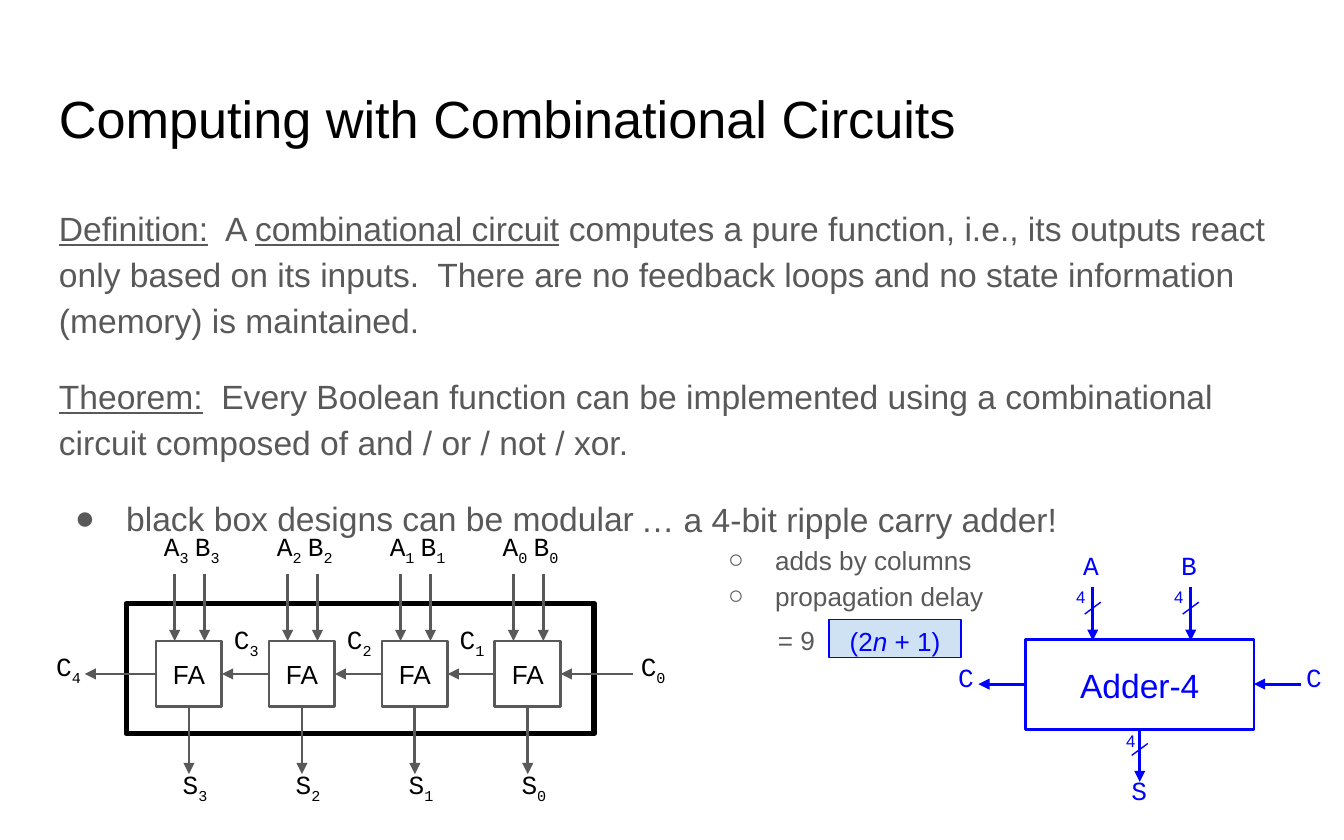
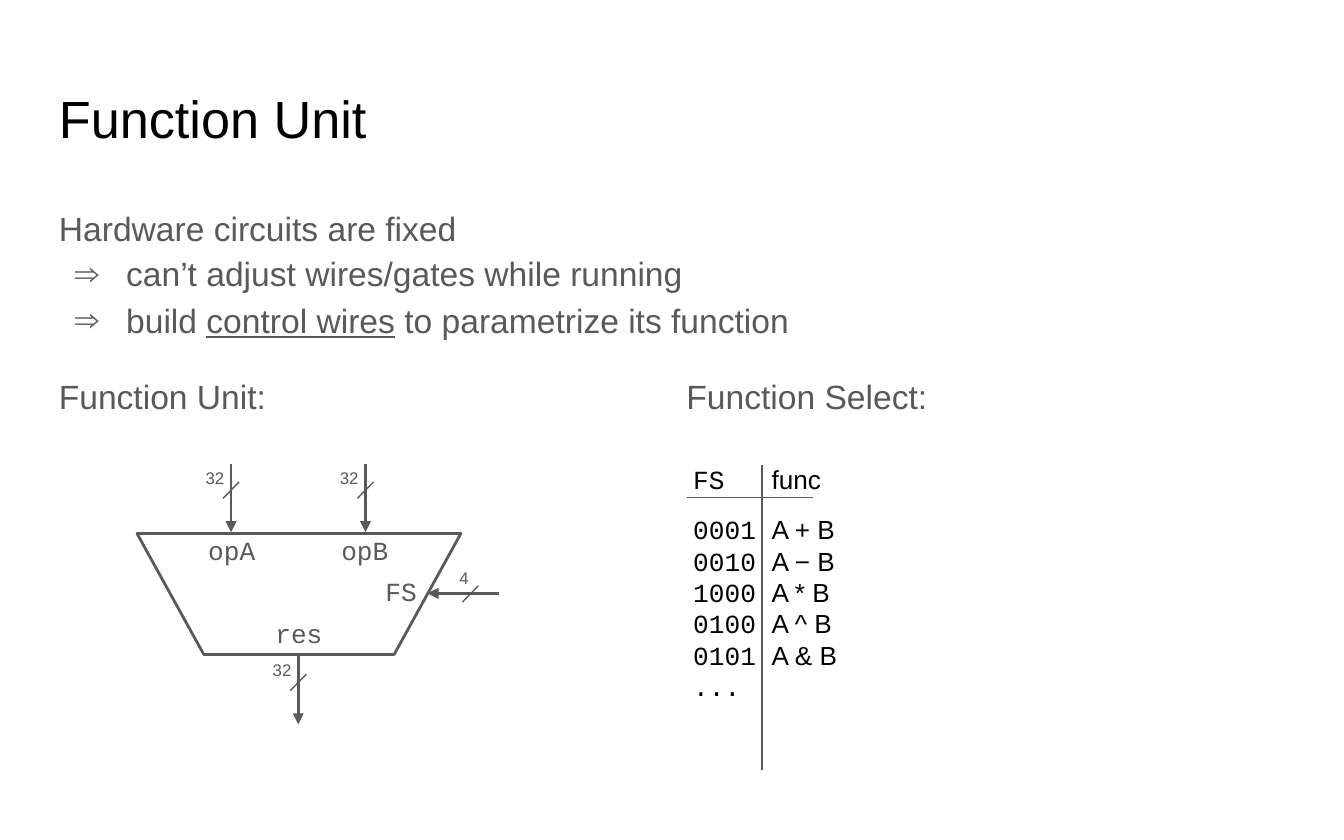
import dataclasses
import pptx
import pptx.util
import pptx.dml.color
import pptx.enum.shapes
import pptx.enum.text
import lxml.etree
import pptx.oxml.ns

Pt = pptx.util.Pt
Shape = pptx.enum.shapes.MSO_SHAPE
Anchor = pptx.enum.text.MSO_ANCHOR
Align = pptx.enum.text.PP_ALIGN


@dataclasses.dataclass(frozen=True)
class Theme:
    """Colours, fonts, type sizes and line widths of the deck."""
    ink: str = "000000"
    gray: str = "595959"
    blue: str = "0000FF"
    pale: str = "CFE2F3"
    sans: str = "Arial"
    mono: str = "Courier New"
    title: float = 28
    body: float = 18
    small: float = 14
    tiny: float = 9
    thin: float = 0.75
    line: float = 1.5
    thick: float = 3
    lead: float = 1.15
    after: float = 16


T = Theme()

# Content. A paragraph is a list of (text, marks) runs:
# u underline, i italic, s subscript, m monospace.
ADDER_TITLE = "Computing with Combinational Circuits"
DEFN = [
    ("Definition:", "u"), ("  A ", ""), ("combinational circuit", "u"),
    (" computes a pure function, i.e., its outputs react only based on its "
     "inputs.  There are no feedback loops and no state information "
     "(memory) is maintained.", "")]
THEOREM = [
    ("Theorem:", "u"),
    ("  Every Boolean function can be implemented using a combinational "
     "circuit composed of and / or / not / xor.", "")]
MODULAR = [("black box designs can be modular", "")]
RIPPLE = [("… a 4-bit ripple carry adder!", "")]
POINTS = ["adds by columns", "propagation delay"]
DELAY = [("= 9", "")]
FORMULA = [("(2", ""), ("n", "i"), (" + 1)", "")]
BITS = [3, 2, 1, 0]

UNIT_TITLE = "Function Unit"
FIXED = [("Hardware circuits are fixed", "")]
ARROWS = [
    [("can’t adjust wires/gates while running", "")],
    [("build ", ""), ("control wires", "u"),
     (" to parametrize its function", "")]]
HEADS = [("Function Unit:", 24.5), ("Function Select:", 360.7)]
PORTS = [("opA", 89.3, 278.6), ("opB", 160.6, 278.6),
         ("res", 125.3, 323.3), ("FS", 180, 301)]
FUNCS = [("0001", "A + B"), ("0010", "A − B"), ("1000", "A * B"),
         ("0100", "A ^ B"), ("0101", "A & B")]


def rgb(code):
    """Turn a hex code into a colour."""
    return pptx.dml.color.RGBColor.from_string(code)


def node(parent, tag, **attrs):
    """Append a drawing element to parent."""
    return lxml.etree.SubElement(parent, pptx.oxml.ns.qn(tag), **attrs)


def para(runs, **opts):
    """Pair runs with options: size, lead, after, dot, left, hang, tab."""
    return runs, opts


def dress(run, marks, size, color, font):
    """Format one run."""
    face = run.font
    face.size = Pt(size)
    face.name = T.mono if "m" in marks else font
    face.color.rgb = rgb(color)
    if "u" in marks:
        face.underline = True
    if "i" in marks:
        face.italic = True
    if "s" in marks:
        run._r.get_or_add_rPr().set("baseline", "-25000")


def indent(par, color, left=0, hang=0, dot=None, tab=None):
    """Set the indent, bullet and tab stop of a paragraph."""
    props = par._p.get_or_add_pPr()
    if dot:
        props.set("marL", str(Pt(left)))
        props.set("indent", str(-Pt(hang)))
        node(node(props, "a:buClr"), "a:srgbClr", val=color)
        node(props, "a:buFont", typeface=T.sans)
        node(props, "a:buChar", char=dot)
    if tab:
        node(node(props, "a:tabLst"), "a:tab", pos=str(Pt(tab)), algn="l")


def fill_text(shape, paras, size, color, font=T.sans, mid=False):
    """Write paragraphs into a shape; mid centres both ways."""
    frame = shape.text_frame
    frame.word_wrap = True
    frame.vertical_anchor = Anchor.MIDDLE if mid else Anchor.TOP
    for side in ("left", "right", "top", "bottom"):
        setattr(frame, "margin_" + side, Pt(7.2))
    for k, (runs, opts) in enumerate(paras):
        par = frame.paragraphs[0] if k == 0 else frame.add_paragraph()
        opts = dict(opts)
        par.alignment = Align.CENTER if mid else Align.LEFT
        own = opts.pop("size", size)
        par.line_spacing = float(opts.pop("lead", 1))
        par.space_after = Pt(opts.pop("after", 0))
        indent(par, color, **opts)
        for words, marks in runs:
            run = par.add_run()
            run.text = words
            dress(run, marks, own, color, font)


def text(slide, at, paras, size, color, font=T.sans, mid=False):
    """Add a text box."""
    box = slide.shapes.add_textbox(*map(Pt, at))
    fill_text(box, paras, size, color, font, mid)


def label(slide, x, y, name, color=T.ink, sub=""):
    """Add a monospace signal name with an optional subscript."""
    runs = [(name, "")] + ([(str(sub), "s")] if sub != "" else [])
    text(slide, (x, y, 36.7, 11.5), [para(runs)], T.small, color, T.mono)


def body(slide, x, y, w, h, paras, size=T.body):
    """Add body text in gray."""
    text(slide, (x, y, w, h), paras, size, T.gray)


def shape(slide, kind, at, color, width, fill=None):
    """Add an outlined shape, hollow unless a fill is given."""
    form = slide.shapes.add_shape(kind, *map(Pt, at))
    form.shadow.inherit = False
    if fill:
        form.fill.solid()
        form.fill.fore_color.rgb = rgb(fill)
    else:
        form.fill.background()
    form.line.color.rgb = rgb(color)
    form.line.width = Pt(width)
    return form


def wire(slide, x1, y1, x2, y2, color=T.gray, width=T.line, head=True):
    """Add a straight line, with an arrowhead at its end by default."""
    link = slide.shapes.add_connector(
        pptx.enum.shapes.MSO_CONNECTOR.STRAIGHT, Pt(x1), Pt(y1), Pt(x2), Pt(y2))
    link.line.color.rgb = rgb(color)
    link.line.width = Pt(width)
    if head:
        node(link.line._get_or_add_ln(), "a:tailEnd", type="triangle")
    node(link._element.spPr, "a:effectLst")


def slash(slide, x, y, rise, color):
    """Add the short stroke that marks a bus."""
    wire(slide, x + 4.3, y - rise, x - 4.3, y + rise, color, T.thin, False)


def count(slide, x, y, bits, color):
    """Add the bit count beside a bus."""
    text(slide, (x, y, 36.7, 28), [para([(bits, "")])], T.tiny, color)


def bus(slide, x, y, size, bits, color, mark, rise, near):
    """Add a downward bus; mark and near place its slash and bit count."""
    wire(slide, x, y, x, y + size, color)
    slash(slide, x, y + mark, rise, color)
    count(slide, x + near[0], y + near[1], bits, color)


def start(deck, name):
    """Add a blank slide with its title."""
    slide = deck.slides.add_slide(deck.slide_layouts[6])
    text(slide, (24.5, 38.9, 671, 50.4), [para([(name, "")])], T.title, T.ink)
    return slide


def ripple(slide):
    """Draw the chain of four full adders."""
    left, top, side, step = 83.6, 343.4, 35.3, 60.5
    mid = top + side / 2
    shape(slide, Shape.RECTANGLE, (67.7, 323.3, 250.6, 69.8), T.ink, T.thick)
    for k, bit in enumerate(BITS):
        x = left + k * step
        cell = shape(slide, Shape.RECTANGLE, (x, top, side, side),
                     T.gray, T.line)
        fill_text(cell, [para([("FA", "")])], T.small, T.ink, mid=True)
        for name, gap, shift in (("A", 10, -2.9), ("B", 26, 13.7)):
            wire(slide, x + gap, top - 36, x + gap, top)
            label(slide, x + shift, 280, name, sub=bit)
        base = top + side
        wire(slide, x + side / 2, base, x + side / 2, base + 36)
        label(slide, x + 7.2, 407.5, "S", sub=bit)
        if bit:
            wire(slide, x + step, mid, x + side, mid)
            label(slide, x + 34.6, 329.8, "C", sub=bit)
    wire(slide, left, mid, 45.4, mid)
    wire(slide, 339, mid, left + 3 * step + side, mid)
    label(slide, 23, 344.2, "C", sub=4)
    label(slide, 336.2, 344.2, "C", sub=0)


def adder(slide):
    """Draw the 4-bit adder as one block."""
    x, y, w, h = 549.4, 342.7, 122.4, 48.2
    block = shape(slide, Shape.RECTANGLE, (x, y, w, h), T.blue, T.line)
    fill_text(block, [para([("Adder-4", "")])], T.body, T.blue, mid=True)
    for name, at in (("A", 585.4), ("B", 637.9)):
        bus(slide, at, 314.6, 28.6, "4", T.blue, 11.2, 3.2, (-16, -5.7))
        label(slide, at - 12.3, 290.2, name, T.blue)
    mid = x + w / 2
    bus(slide, mid, 390.3, 28.6, "4", T.blue, 11.2, 3.2, (-14.4, -4.4))
    label(slide, mid - 11.6, 410.4, "S", T.blue)
    for tail, tip, at in ((697, x + w, 692.6), (x, 524.2, 506.2)):
        wire(slide, tail, 366.5, tip, 366.5, T.blue)
        label(slide, at, 350, "C", T.blue)


def circuits(deck):
    """Build the slide on combinational circuits."""
    slide = start(deck, ADDER_TITLE)
    loose = dict(lead=T.lead, after=T.after)
    body(slide, 24.5, 100.8, 671, 90, [para(DEFN, **loose)])
    body(slide, 24.5, 190.8, 671, 116.6, [
        para(THEOREM, **loose),
        para(MODULAR, dot="●", left=36, hang=27.4, **loose)])
    ripple(slide)
    body(slide, 336.2, 257, 345, 116.6, [para(RIPPLE, lead=T.lead)] + [
        para([(point, "")], size=T.small, lead=T.lead, dot="○",
             left=72, hang=25.2) for point in POINTS])
    body(slide, 409.7, 324.7, 281, 35.3, [para(DELAY, **loose)], T.small)
    box = shape(slide, Shape.RECTANGLE, (444.2, 331.9, 70.6, 20.2),
                T.blue, T.thin, T.pale)
    fill_text(box, [para(FORMULA, **loose)], T.small, T.blue, mid=True)
    adder(slide)


def unit(slide):
    """Draw the function unit with its buses and ports."""
    form = shape(slide, Shape.TRAPEZOID, (73.4, 285.8, 173.5, 64.8),
                 T.gray, T.line)
    form.rotation = 180
    form.adjustments[0] = 0.552
    for x, y in ((123.8, 248.4), (195.8, 248.4), (159.8, 351.4)):
        bus(slide, x, y, 36.7, "32", T.gray, 14.2, 4.4, (-20.8, -3.2))
    wire(slide, 267.1, 317.9, 229, 317.9)
    slash(slide, 252, 318.2, 4.4, T.gray)
    count(slide, 239, 298.8, "4", T.gray)
    for name, x, y in PORTS:
        text(slide, (x, y, 69.8, 31.7), [para([(name, "")])],
             T.small, T.gray, T.mono, mid=True)


def select(slide):
    """Set the list of function codes with its two rules."""
    wire(slide, 367.9, 266.4, 435.6, 266.4, width=T.thin, head=False)
    wire(slide, 408.2, 249.1, 408.2, 412.6, width=T.thin, head=False)
    rows = [para([("FS\t", "m"), ("func", "")], after=10, tab=42)]
    rows += [para([(code + "\t", "m"), (func, "")], tab=42)
             for code, func in FUNCS]
    rows.append(para([("...", "m")]))
    text(slide, (364.3, 241.2, 100, 19.4), rows, T.small, T.ink)


def function(deck):
    """Build the slide on the function unit."""
    slide = start(deck, UNIT_TITLE)
    body(slide, 24.5, 100.8, 671, 126, [para(FIXED, lead=T.lead)])
    body(slide, 24.5, 125.3, 671, 116.6, [
        para(runs, lead=T.lead, dot="⇒", left=36, hang=27.4)
        for runs in ARROWS])
    for name, x in HEADS:
        body(slide, x, 190.8, 335, 47.5, [para([(name, "")], lead=T.lead)])
    unit(slide)
    select(slide)


deck = pptx.Presentation()
deck.slide_width, deck.slide_height = Pt(720), Pt(450)
circuits(deck)
function(deck)
deck.save("out.pptx")
